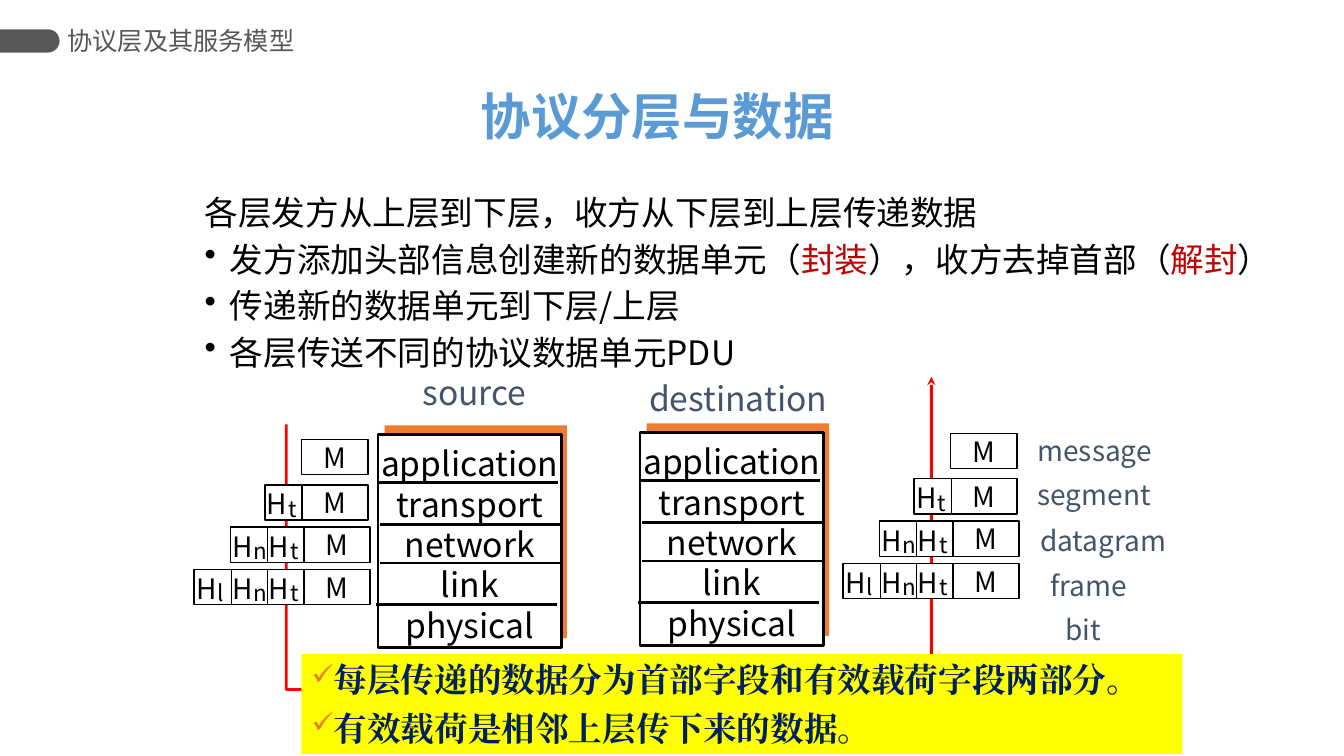
from lxml.etree import SubElement
from pptx import Presentation
from pptx.dml.color import RGBColor
from pptx.enum.shapes import MSO_CONNECTOR, MSO_SHAPE
from pptx.enum.text import MSO_ANCHOR, PP_ALIGN
from pptx.oxml.ns import qn
from pptx.util import Pt

SANS = "Noto Sans CJK SC"
SERIF = "Times New Roman"
BLACK, WHITE, GREY, SLATE = "000000", "FFFFFF", "575757", "44546A"
BLUE, NAVY, ORANGE, YELLOW = "5B9BD5", "002060", "ED7D31", "FFFF00"
RED, DARK_RED = "FF0000", "C00000"

LAYERS = ["application", "transport", "network", "link", "physical"]
LAYER_RULES = [(-0.7, 34.2), (1.4, 64.5), (1.4, 91.8), (-1.4, 121.5)]
UNIT_ROWS = [(0, 0, ""), (0, 32.4, "t"), (1.4, 62.6, "tn"), (1.4, 92.9, "tnl")]
UNIT_NAMES = [("message", 741, 309.6), ("segment", 741, 341.3),
              ("datagram", 743, 373.7), ("frame", 750.2, 406.1),
              ("bit", 761, 437.8)]
BODY = [
    ["各层发方从上层到下层，收方从下层到上层传递数据"],
    ["发方添加头部信息创建新的数据单元（", "封装", "），收方去掉首部（", "解封", "）"],
    ["传递新的数据单元到下层/上层"],
    ["各层传送不同的协议数据单元PDU"],
]
NOTES = ["每层传递的数据分为首部字段和有效载荷字段两部分。",
         "有效载荷是相邻上层传下来的数据。"]


def rgb(value):
    """Turn a hex string into a colour."""
    return RGBColor.from_string(value)


def style(para, size, color, name=SANS, bold=False):
    """Set the font of a whole paragraph, for Latin and Chinese text."""
    font = para.font
    font.size, font.bold, font.name = Pt(size), bold, name
    font.color.rgb = rgb(color)
    defaults = para._p.pPr.find(qn("a:defRPr"))
    SubElement(defaults, qn("a:ea")).set("typeface", name)


def bullet(para, char, color=None, percent=None):
    """Give a paragraph a bullet character."""
    props = para._p.get_or_add_pPr()
    if color:
        holder = SubElement(props, qn("a:buClr"))
        SubElement(holder, qn("a:srgbClr")).set("val", color)
    if percent:
        SubElement(props, qn("a:buSzPct")).set("val", str(percent * 1000))
    SubElement(props, qn("a:buChar")).set("char", char)


def prepare(frame, wrap=True, anchor=MSO_ANCHOR.TOP):
    """Remove the margins of a text frame and set its wrap and anchor."""
    frame.margin_left = frame.margin_right = 0
    frame.margin_top = frame.margin_bottom = 0
    frame.word_wrap, frame.vertical_anchor = wrap, anchor
    return frame


def fill_lines(frame, lines, size, color, align=PP_ALIGN.LEFT, bold=False,
               leading=1.2):
    """Write one paragraph per line with a fixed leading."""
    for index, line in enumerate(lines):
        para = frame.add_paragraph() if index else frame.paragraphs[0]
        para.text, para.alignment = line, align
        para.line_spacing = Pt(round(size * leading, 1))
        style(para, size, color, bold=bold)


def add_text(page, left, top, width, height, lines, size, color,
             wrap=True, anchor=MSO_ANCHOR.TOP, **options):
    """Add a text box without margins."""
    box = page.shapes.add_textbox(Pt(left), Pt(top), Pt(width), Pt(height))
    fill_lines(prepare(box.text_frame, wrap, anchor), lines, size, color, **options)


def add_block(page, left, top, width, height, fill, line=None,
              kind=MSO_SHAPE.RECTANGLE):
    """Add a filled shape, outlined in black when a line width is given."""
    block = page.shapes.add_shape(kind, Pt(left), Pt(top), Pt(width), Pt(height))
    block.shadow.inherit = False
    block.fill.solid()
    block.fill.fore_color.rgb = rgb(fill)
    if line:
        block.line.color.rgb, block.line.width = rgb(BLACK), Pt(line)
    else:
        block.line.fill.background()
    return block


def add_rule(page, left, top, length):
    """Add a horizontal black line."""
    rule = page.shapes.add_connector(
        MSO_CONNECTOR.STRAIGHT, Pt(left), Pt(top), Pt(left + length), Pt(top))
    rule.line.color.rgb, rule.line.width = rgb(BLACK), Pt(2)
    SubElement(rule._element.spPr, qn("a:effectLst"))


def add_stack(page, left, top):
    """Add the five protocol layers of one host."""
    add_block(page, left + 4.7, top - 6.5, 130.3, 152, ORANGE)
    add_block(page, left, top, 131, 152, WHITE, 2)
    for shift, drop in LAYER_RULES:
        add_rule(page, left + shift, top + drop, 129)
    add_text(page, left, top + 6.3, 131, 145, LAYERS, 24, BLACK,
             wrap=False, align=PP_ALIGN.CENTER)


def add_header(page, left, top, letter):
    """Add a header cell with its small layer letter."""
    add_block(page, left, top, 26.6, 25.2, WHITE, 1)
    add_text(page, left + 1.4, top + 1.4, 18, 24, ["H"], 20, BLACK)
    add_text(page, left + 16.6, top + 7.2, 12, 19.2, [letter], 16, BLACK)


def add_units(page, left, top):
    """Add the growing data units of one host."""
    for shift, drop, letters in UNIT_ROWS:
        message = add_block(page, left + shift, top + drop, 47.5, 25.2, WHITE, 1)
        frame = prepare(message.text_frame, False, MSO_ANCHOR.MIDDLE)
        fill_lines(frame, ["M"], 20, BLACK, align=PP_ALIGN.CENTER)
        for index, letter in enumerate(letters, 1):
            add_header(page, left + shift - 26 * index, top + drop, letter)


def add_flow(page):
    """Add the red arrow from the source down and up to the destination."""
    builder = page.shapes.build_freeform(Pt(204.5), Pt(303.1))
    builder.add_line_segments(
        [(Pt(204.5), Pt(492.5)), (Pt(665.3), Pt(491.8)), (Pt(665.3), Pt(269.3))],
        close=False)
    flow = builder.convert_to_shape()
    flow.shadow.inherit = False
    flow.fill.background()
    flow.line.color.rgb, flow.line.width = rgb(RED), Pt(2)
    SubElement(flow.line._get_or_add_ln(), qn("a:tailEnd")).set("type", "stealth")


def add_body(page):
    """Add the explanation with its red key terms."""
    box = page.shapes.add_textbox(Pt(146.2), Pt(143), Pt(769), Pt(128))
    frame = prepare(box.text_frame)
    for index, pieces in enumerate(BODY):
        para = frame.add_paragraph() if index else frame.paragraphs[0]
        para.line_spacing = Pt(23.2)
        props = para._p.get_or_add_pPr()
        props.set("marL", str(Pt(18)))
        props.set("indent", str(-Pt(18)))
        if index:
            para.space_before = Pt(10)
            bullet(para, "•")
        style(para, 24, BLACK)
        for number, piece in enumerate(pieces):
            span = para.add_run()
            span.text = piece
            if number % 2:
                span.font.color.rgb = rgb(DARK_RED)


def add_notes(page):
    """Add the yellow panel with the two ticked statements."""
    panel = add_block(page, 215.3, 467.3, 629.3, 71.3, YELLOW)
    frame = panel.text_frame
    frame.word_wrap, frame.vertical_anchor = True, MSO_ANCHOR.TOP
    for index, note in enumerate(NOTES):
        para = frame.add_paragraph() if index else frame.paragraphs[0]
        para.text, para.alignment = note, PP_ALIGN.LEFT
        if index:
            para.space_before = Pt(6)
        bullet(para, "✓", ORANGE, 85)
        style(para, 24, NAVY, SERIF, True)


def main():
    """Build the slide and save it."""
    deck = Presentation()
    deck.slide_width, deck.slide_height = Pt(960), Pt(540)
    page = deck.slides.add_slide(deck.slide_layouts[6])

    tab = add_block(page, 13, 8, 16.6, 42.5, GREY,
                    kind=MSO_SHAPE.ROUND_2_SAME_RECTANGLE)
    tab.adjustments[0] = 0.5
    tab.rotation = 90
    add_text(page, 163.4, 61, 612, 46.8, ["协议分层与数据"], 36, BLUE,
             anchor=MSO_ANCHOR.MIDDLE, align=PP_ALIGN.CENTER, bold=True,
             leading=1.08)
    add_body(page)

    add_stack(page, 270, 310.3)
    add_stack(page, 457.2, 308.9)
    add_text(page, 301.7, 265.7, 90, 29, ["source"], 24, SLATE)
    add_text(page, 463.7, 270, 145, 29, ["destination"], 24, SLATE)
    add_flow(page)
    add_units(page, 215.3, 313.9)
    add_units(page, 678.9, 309.6)
    for name, left, top in UNIT_NAMES:
        add_text(page, left, top, 110, 24, [name], 20, SLATE)

    add_text(page, 48.2, 13.7, 168, 30.2, ["协议层及其服务模型"], 18, GREY,
             anchor=MSO_ANCHOR.MIDDLE)
    add_notes(page)
    deck.save("out.pptx")


if __name__ == "__main__":
    main()
